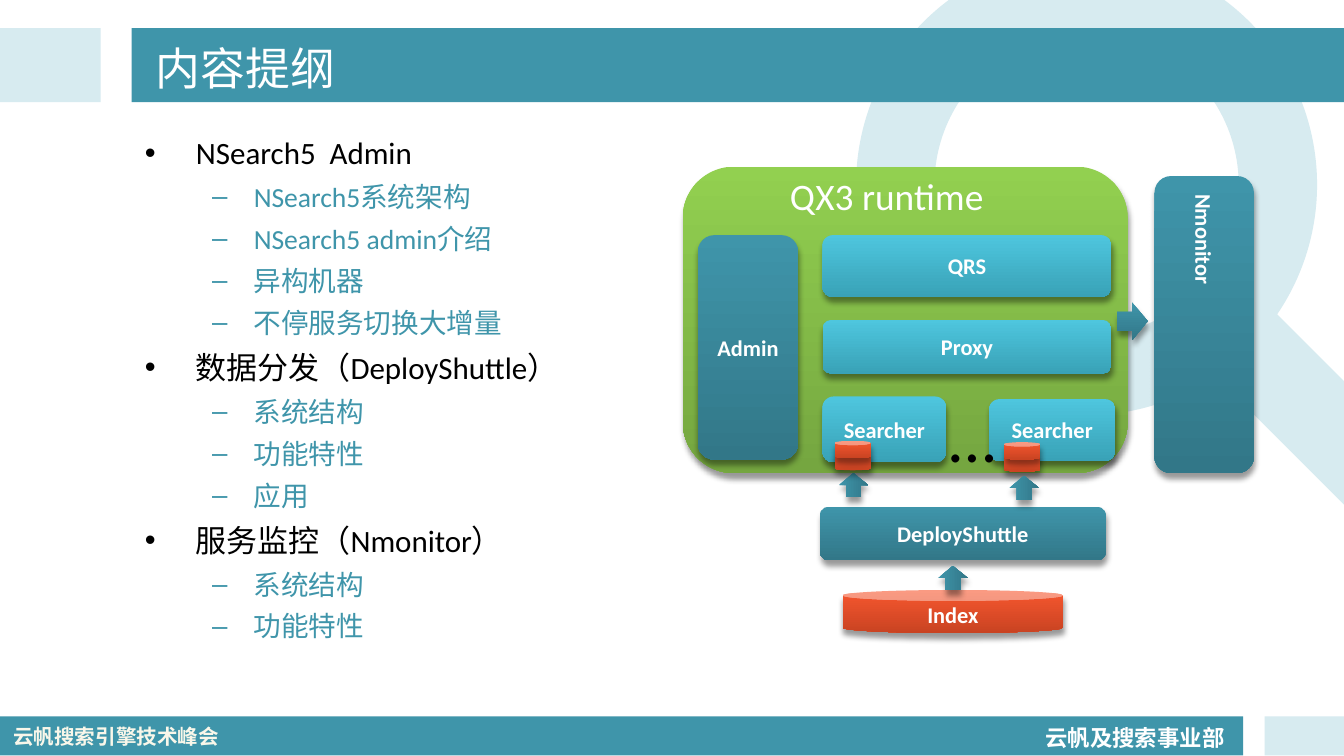
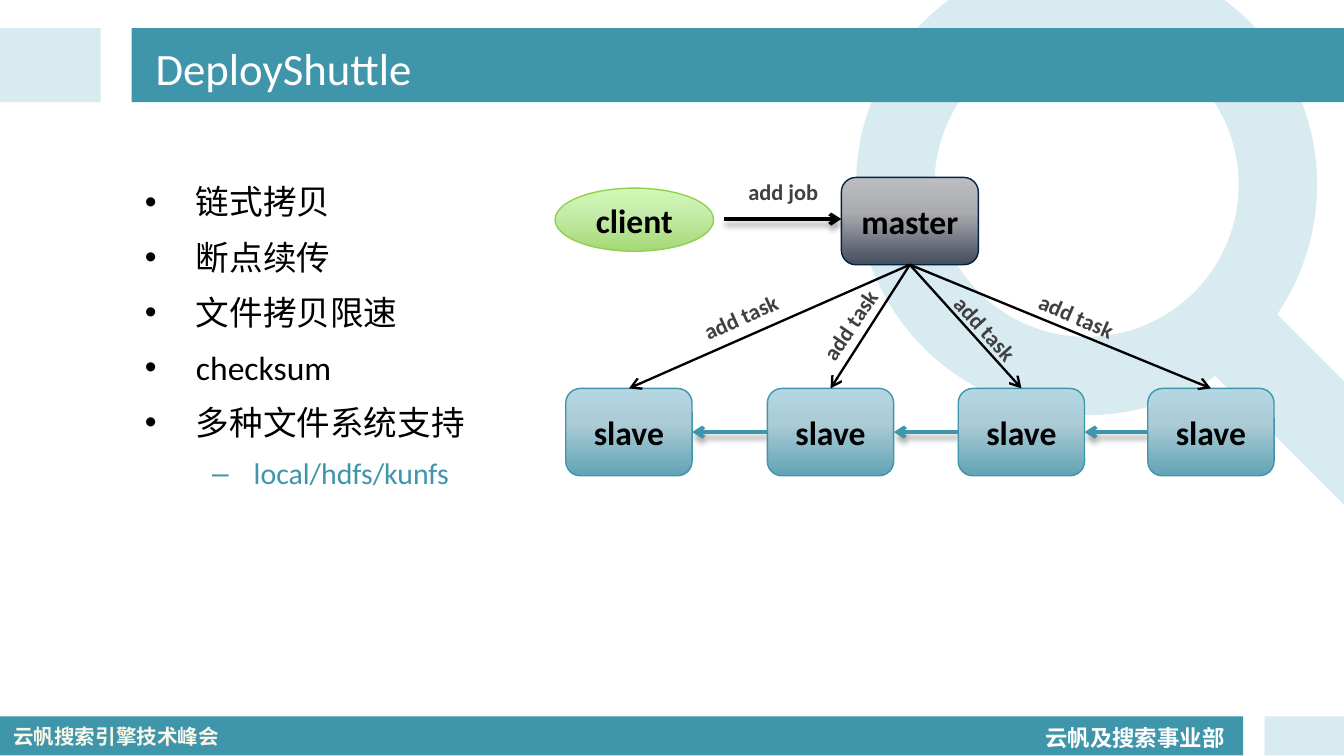
import pptx
import pptx.dml.color
import pptx.enum.shapes
import pptx.enum.text
import pptx.oxml.ns
import pptx.util
from lxml import etree

Inches = pptx.util.Inches
Pt = pptx.util.Pt
qn = pptx.oxml.ns.qn
SHAPE = pptx.enum.shapes.MSO_SHAPE
ALIGN = pptx.enum.text.PP_ALIGN
ANCHOR = pptx.enum.text.MSO_ANCHOR

FONT = "Calibri"
TEAL, PALE, WHITE, BLACK = "3F95AA", "D7EBF0", "FFFFFF", "000000"
TEAL_FILL = [(0, TEAL), (100, "327788")]
CYAN_FILL = [(0, "4EC6DE"), (100, "39A2B7")]
GREEN_FILL = [(0, "92D050"), (100, "75A640")]
RED_FILL = [(0, "F7572F"), (100, "C94322")]
SLAVE_FILL = [(0, "B5D7E4"), (40, "ABCBD7"), (100, "62A3B5")]
MASTER_FILL = [(0, "BBBDC1"), (40, "ABACB0"), (100, "444B5C")]
CLIENT_FILL = [(0, "CFF9B3"), (40, "C6ECAB"), (100, "A5D874")]


def color(hex_string):
    return pptx.dml.color.RGBColor.from_string(hex_string)


def child(parent, tag, **attributes):
    return etree.SubElement(parent, qn(tag), {name: str(value) for name, value in attributes.items()})


def add_shadow(effects, opacity):
    shadow = child(effects, "a:outerShdw", blurRad=Pt(3), dist=Pt(3), dir=80 * 60000, rotWithShape=0)
    shadow_color = child(shadow, "a:srgbClr", val=BLACK)
    child(shadow_color, "a:alpha", val=opacity * 1000)


def set_gradient(shape, stops):
    """Fill from top to bottom with (percent, colour) stops."""
    shape.fill.gradient()
    shape.fill.gradient_angle = 270
    stop_list = shape.element.spPr.find(".//" + qn("a:gsLst"))
    for stop in list(stop_list):
        stop_list.remove(stop)
    for percent, value in stops:
        child(child(stop_list, "a:gs", pos=percent * 1000), "a:srgbClr", val=value)


def write(paragraph, text, size, text_color, bold=False, font=FONT):
    paragraph.text = text
    paragraph.font.size = Pt(size)
    paragraph.font.name = font
    paragraph.font.bold = bold
    paragraph.font.color.rgb = color(text_color)


def add_shape(slide, kind, box, fill, line=None, rotation=0, shadow=False):
    """Fill is a hex string or a list of gradient stops."""
    shape = slide.shapes.add_shape(kind, *map(Inches, box))
    shape.rotation = rotation
    shape.shadow.inherit = False
    if isinstance(fill, str):
        shape.fill.solid()
        shape.fill.fore_color.rgb = color(fill)
    else:
        set_gradient(shape, fill)
    if line:
        shape.line.color.rgb = color(line)
        shape.line.width = Pt(0.75)
    else:
        shape.line.fill.background()
    if shadow:
        add_shadow(shape.element.spPr.find(qn("a:effectLst")), 40)
    return shape


def add_label(shape, text, size=12, text_color=WHITE):
    frame = shape.text_frame
    frame.word_wrap = False
    frame.vertical_anchor = ANCHOR.MIDDLE
    paragraph = frame.paragraphs[0]
    paragraph.alignment = ALIGN.CENTER
    write(paragraph, text, size, text_color, bold=True)


def add_text(slide, box, text, size, text_color, bold=False, font=FONT,
             wrap=True, spacing=1.0, rotation=0, anchor=ANCHOR.TOP):
    text_box = slide.shapes.add_textbox(*map(Inches, box))
    text_box.rotation = rotation
    frame = text_box.text_frame
    frame.word_wrap = wrap
    frame.vertical_anchor = anchor
    frame.paragraphs[0].line_spacing = spacing
    write(frame.paragraphs[0], text, size, text_color, bold, font)


def add_arrow(slide, start, end, line_color, width, shadow=False):
    connector = slide.shapes.add_connector(
        pptx.enum.shapes.MSO_CONNECTOR.STRAIGHT, *map(Inches, (*start, *end)))
    connector.line.color.rgb = color(line_color)
    connector.line.width = Pt(width)
    properties = connector.element.spPr
    child(properties.find(qn("a:ln")), "a:tailEnd", type="arrow")
    effects = child(properties, "a:effectLst")
    if shadow:
        add_shadow(effects, 32)


def add_page(presentation, title):
    """Add a slide with the shared magnifier, bands, footer and title."""
    slide = presentation.slides.add_slide(presentation.slide_layouts[6])
    ring = add_shape(slide, SHAPE.DONUT, (6.37, -0.34, 3.43, 3.43), PALE)
    ring.adjustments[0] = 0.17
    handle = add_shape(slide, SHAPE.ROUNDED_RECTANGLE, (8.66, 2.7, 2.14, 0.65), PALE, rotation=45)
    handle.adjustments[0] = 0.5
    for box, fill in (
        ((0, 5.33, 9.25, 0.29), TEAL),
        ((9.41, 5.33, 0.59, 0.29), PALE),
        ((0, 0.21, 0.75, 0.55), PALE),
        ((0.98, 0.21, 9.02, 0.55), TEAL),
    ):
        add_shape(slide, SHAPE.RECTANGLE, box, fill)
    add_text(slide, (7.68, 5.3, 1.55, 0.33), "云帆及搜索事业部", 12, WHITE, bold=True, wrap=False, spacing=1.2)
    add_text(slide, (0, 5.34, 1.77, 0.29), "云帆搜索引擎技术峰会", 11, "F9F7EA", bold=True,
             font="Noto Sans CJK SC")
    add_text(slide, (1.06, 0.23, 8.44, 0.54), title, 24, WHITE, anchor=ANCHOR.MIDDLE)
    return slide


def add_outline(slide, box, sections, sizes, spacing):
    """List (heading, subitems) sections as two bullet levels."""
    frame = slide.shapes.add_textbox(*map(Inches, box)).text_frame
    frame.word_wrap = True
    levels = (("•", 0.38, -0.38, BLACK), ("–", 0.81, -0.31, TEAL))
    rows = [(level, text) for heading, subitems in sections
            for level, text in [(0, heading)] + [(1, item) for item in subitems]]
    for index, (level, text) in enumerate(rows):
        paragraph = frame.paragraphs[0] if index == 0 else frame.add_paragraph()
        bullet, margin, indent, text_color = levels[level]
        paragraph.level = level
        paragraph.line_spacing = spacing
        paragraph.space_before = Pt(0.2 * sizes[level])
        write(paragraph, text, sizes[level], text_color)
        properties = paragraph._p.get_or_add_pPr()
        properties.set("marL", str(Inches(margin)))
        properties.set("indent", str(Inches(indent)))
        bullet_font = etree.Element(qn("a:buFont"), typeface="Arial")
        bullet_mark = etree.Element(qn("a:buChar"), char=bullet)
        default_run = properties.find(qn("a:defRPr"))
        default_run.addprevious(bullet_font)
        default_run.addprevious(bullet_mark)


def add_runtime_diagram(slide, left, top):
    def block(kind, box, fill, text=None, rotation=0):
        x, y, width, height = box
        shape = add_shape(slide, kind, (left + x, top + y, width, height), fill,
                          rotation=rotation, shadow=True)
        if text:
            add_label(shape, text)
        return shape

    def index_store(x, y):
        for offset in (0.09, 0):
            block(SHAPE.CAN, (x, y + offset, 0.27, 0.13), RED_FILL)

    def up_arrow(x, y):
        block(SHAPE.RIGHT_ARROW, (x, y, 0.18, 0.22), TEAL_FILL, rotation=270)

    rounded = SHAPE.ROUNDED_RECTANGLE
    block(rounded, (0, 0, 3.31, 2.28), GREEN_FILL)
    for text, box in (
        ("QRS", (1.04, 0.51, 2.15, 0.46)),
        ("Proxy", (1.04, 1.14, 2.15, 0.4)),
        ("Searcher", (1.04, 1.71, 0.92, 0.49)),
        ("Searcher", (2.28, 1.73, 0.94, 0.46)),
    ):
        block(rounded, box, CYAN_FILL, text)
    block(rounded, (0.11, 0.51, 0.75, 1.67), TEAL_FILL, "Admin")
    add_text(slide, (left + 0.7, top, 2.26, 0.44), "QX3 runtime", 20, WHITE)
    add_text(slide, (left + 1.89, top + 1.65, 0.46, 0.51), "…", 36, BLACK)
    block(rounded, (1.02, 2.53, 2.13, 0.4), TEAL_FILL, "DeployShuttle")
    index_store(2.39, 2.05)
    up_arrow(1.18, 2.26)
    up_arrow(2.45, 2.28)
    block(SHAPE.CAN, (1.19, 3.15, 1.64, 0.32), RED_FILL, "Index")
    up_arrow(1.92, 2.95)
    index_store(1.13, 2.04)
    monitor = block(rounded, (3.51, 0.07, 0.74, 2.21), TEAL_FILL, "Nmonitor")
    monitor.text_frame.paragraphs[0].alignment = ALIGN.LEFT
    monitor.text_frame.word_wrap = True
    monitor.element.txBody.find(qn("a:bodyPr")).set("vert", "eaVert")
    block(SHAPE.RIGHT_ARROW, (3.23, 1.01, 0.23, 0.28), TEAL_FILL)


def add_task_diagram(slide, left, top):
    slave_width, slave_height, slave_top = 0.94, 0.65, top + 1.65
    slave_lefts = [left + x for x in (0.08, 1.58, 3.0, 4.41)]
    master_bottom = (left + 2.64, top + 0.73)

    def node(kind, box, fill, line, text):
        add_label(add_shape(slide, kind, box, fill, line), text, 18, BLACK)

    def caption(x, y, text, rotation=0):
        add_text(slide, (left + x, top + y, 1.02, 0.33), text, 12, "404040", bold=True,
                 spacing=1.2, rotation=rotation)

    for previous, current in zip(slave_lefts, slave_lefts[1:]):
        middle = slave_top + slave_height / 2
        add_arrow(slide, (current, middle), (previous + slave_width, middle), TEAL, 2, shadow=True)
    for x in slave_lefts:
        node(SHAPE.ROUNDED_RECTANGLE, (x, slave_top, slave_width, slave_height), SLAVE_FILL, TEAL, "slave")
    node(SHAPE.ROUNDED_RECTANGLE, (left + 2.13, top + 0.08, 1.02, 0.65), MASTER_FILL, "022440", "master")
    for x in slave_lefts:
        add_arrow(slide, master_bottom, (x + slave_width / 2, slave_top), BLACK, 1.25)
    add_arrow(slide, (left + 1.26, top + 0.39), (left + 2.13, top + 0.39), BLACK, 2, shadow=True)
    node(SHAPE.OVAL, (left, top + 0.16, 1.18, 0.47), CLIENT_FILL, "92D050", "client")
    caption(1.34, 0, "add job")
    for x, y, rotation in ((0.97, 0.88, 335.7), (1.73, 0.9, 304.2), (2.79, 1.11, 47.9), (3.49, 0.97, 23.4)):
        caption(x, y, "add task", rotation)


def main():
    presentation = pptx.Presentation()
    presentation.slide_width = Inches(10)
    presentation.slide_height = Inches(10 * 9 / 16)

    contents = add_page(presentation, "内容提纲")
    add_outline(contents, (0.98, 0.92, 8.52, 4.1), [
        ("NSearch5  Admin", ["NSearch5系统架构", "NSearch5 admin介绍", "异构机器", "不停服务切换大增量"]),
        ("数据分发（DeployShuttle）", ["系统结构", "功能特性", "应用"]),
        ("服务监控（Nmonitor）", ["系统结构", "功能特性"]),
    ], sizes=(16.6, 14.8), spacing=1.1)
    add_runtime_diagram(contents, 5.08, 1.24)

    deployment = add_page(presentation, "DeployShuttle")
    add_task_diagram(deployment, 4.13, 1.24)
    add_outline(deployment, (0.98, 1.24, 2.83, 2.68), [
        ("链式拷贝", []),
        ("断点续传", []),
        ("文件拷贝限速", []),
        ("checksum", []),
        ("多种文件系统支持", ["local/hdfs/kunfs"]),
    ], sizes=(18, 16), spacing=1.2)

    presentation.save("out.pptx")


if __name__ == "__main__":
    main()
